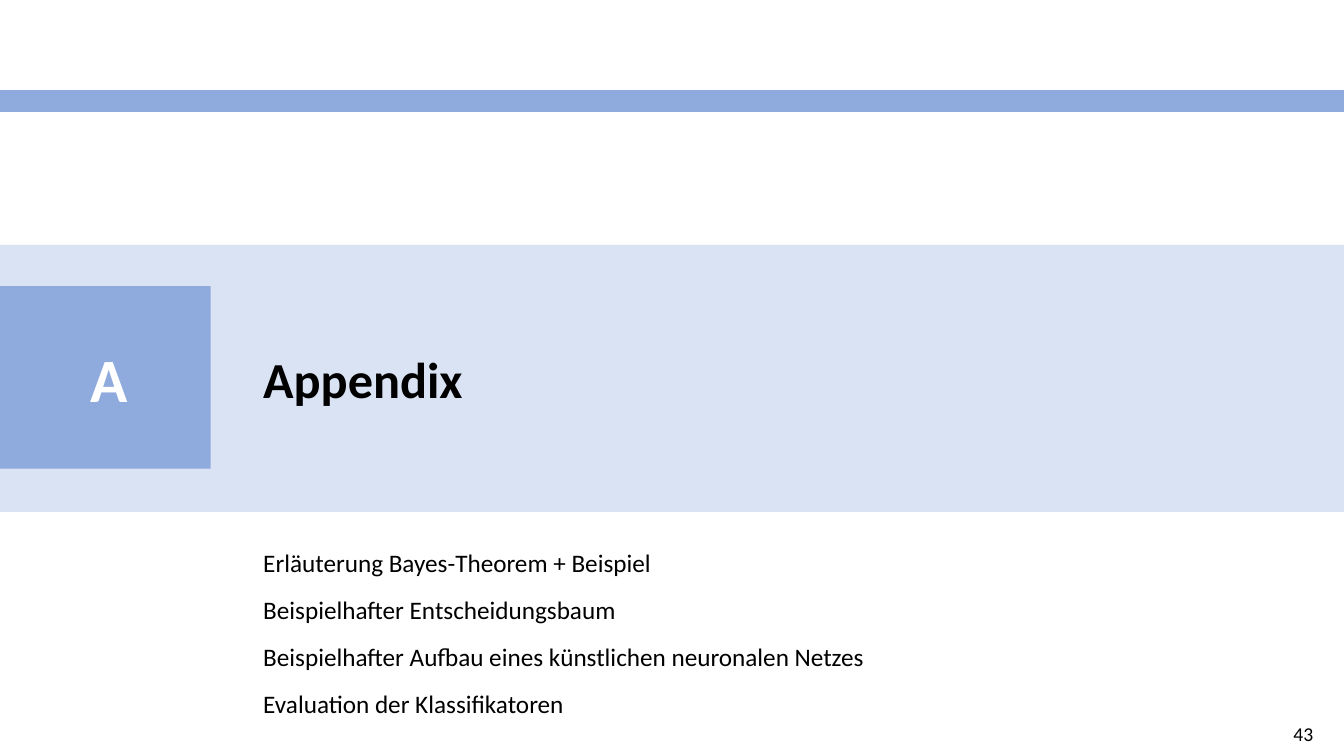
from dataclasses import dataclass

from lxml import etree
from pptx import Presentation
from pptx.dml.color import RGBColor
from pptx.enum.shapes import MSO_SHAPE
from pptx.enum.text import MSO_ANCHOR, MSO_AUTO_SIZE, PP_ALIGN
from pptx.oxml.ns import qn
from pptx.util import Cm, Pt

RECTANGLE = MSO_SHAPE.RECTANGLE
TOP, MIDDLE = MSO_ANCHOR.TOP, MSO_ANCHOR.MIDDLE
LEFT, CENTER, RIGHT = PP_ALIGN.LEFT, PP_ALIGN.CENTER, PP_ALIGN.RIGHT
NO_AUTOFIT = MSO_AUTO_SIZE.NONE

FONT = "Calibri"
COLORS = {"accent": "8FAADC", "band": "DAE3F3", "text": "000000", "letter": "FFFFFF"}
PLAIN_TABLE_STYLE = "{2D5ABB26-0587-4C30-8999-92F81FD0307C}"
SLIDE_WIDTH, SLIDE_HEIGHT = 33.87, 19.05
TEXT_LEFT = 6.38
STRIPE_COLUMNS = 3
TOPICS = [
    "Erläuterung Bayes-Theorem + Beispiel",
    "Beispielhafter Entscheidungsbaum",
    "Beispielhafter Aufbau eines künstlichen neuronalen Netzes",
    "Evaluation der Klassifikatoren",
]


@dataclass
class Box:
    """Position and size in centimetres."""
    left: float
    top: float
    width: float
    height: float

    def lengths(self) -> tuple:
        return Cm(self.left), Cm(self.top), Cm(self.width), Cm(self.height)


@dataclass
class Block:
    """A fill of one colour."""
    box: Box
    color: str


@dataclass
class Label:
    """Text lines that share one format."""
    box: Box
    lines: list[str]
    size: int
    color: str = "text"
    bold: bool = False
    align: PP_ALIGN = LEFT
    anchor: MSO_ANCHOR = TOP
    space_after: int = 0
    wrap: bool = False


BLOCKS = [
    Block(Box(0, 6.17, SLIDE_WIDTH, 6.73), "band"),
    Block(Box(0, 7.21, 5.31, 4.6), "accent"),
]
STRIPE = Box(0, 2.26, SLIDE_WIDTH, 0.57)
TITLE = Label(Box(TEXT_LEFT, 8.64, 5.61, 1.8), ["Appendix"], 36, bold=True)
TOPIC_LIST = Label(Box(TEXT_LEFT, 13.67, 15.85, 4.62), TOPICS, 18, space_after=12)
SECTION_LETTER = Label(Box(2.01, 8.46, 1.47, 2.13), ["A"], 44, "letter", True, CENTER)
PAGE_NUMBER = Label(Box(24.23, 18.06, 9.12, 0.86), ["43"], 14,
                    align=RIGHT, anchor=MIDDLE, wrap=True)


def rgb(name: str) -> RGBColor:
    return RGBColor.from_string(COLORS[name])


def draw_block(slide, block: Block) -> None:
    shape = slide.shapes.add_shape(RECTANGLE, *block.box.lengths())
    shape.shadow.inherit = False
    shape.fill.solid()
    shape.fill.fore_color.rgb = rgb(block.color)
    shape.line.fill.background()


def write_label(shape, label: Label) -> None:
    shape.left, shape.top, shape.width, shape.height = label.box.lengths()
    frame = shape.text_frame
    frame.text = "\n".join(label.lines)
    frame.auto_size = NO_AUTOFIT
    frame.word_wrap = label.wrap
    frame.vertical_anchor = label.anchor
    for paragraph in frame.paragraphs:
        paragraph.alignment = label.align
        paragraph.space_before = Pt(0)
        paragraph.space_after = Pt(label.space_after)
        paragraph.font.name = FONT
        paragraph.font.size = Pt(label.size)
        paragraph.font.bold = label.bold
        paragraph.font.color.rgb = rgb(label.color)


def remove_bullets(shape) -> None:
    for paragraph in shape.text_frame.paragraphs:
        properties = paragraph._p.get_or_add_pPr()
        properties.set("marL", "0")
        properties.set("indent", "0")
        no_bullet = etree.Element(qn("a:buNone"))
        properties.find(qn("a:defRPr")).addprevious(no_bullet)


def draw_stripe(slide, box: Box) -> None:
    table = slide.shapes.add_table(1, STRIPE_COLUMNS, *box.lengths()).table
    table.first_row = table.horz_banding = False
    table._tbl.tblPr.find(qn("a:tableStyleId")).text = PLAIN_TABLE_STYLE
    for cell in table.iter_cells():
        cell.fill.solid()
        cell.fill.fore_color.rgb = rgb("accent")
        cell.margin_top = cell.margin_bottom = 0
        # A small font keeps the empty row low
        paragraph = cell.text_frame.paragraphs[0]
        etree.SubElement(paragraph._p, qn("a:endParaRPr"), sz="800")


def main() -> None:
    presentation = Presentation()
    presentation.slide_width = Cm(SLIDE_WIDTH)
    presentation.slide_height = Cm(SLIDE_HEIGHT)
    slide = presentation.slides.add_slide(presentation.slide_layouts[1])
    title, body = slide.placeholders

    # Section band and letter tile
    for block in BLOCKS:
        draw_block(slide, block)

    # Title and topics, raised above the band
    for placeholder, label in ((title, TITLE), (body, TOPIC_LIST)):
        write_label(placeholder, label)
        slide.shapes._spTree.append(placeholder._element)
    remove_bullets(body)

    # Section letter and page number
    for label in (SECTION_LETTER, PAGE_NUMBER):
        write_label(slide.shapes.add_textbox(*label.box.lengths()), label)

    # Header stripe
    draw_stripe(slide, STRIPE)

    presentation.save("out.pptx")


if __name__ == "__main__":
    main()
